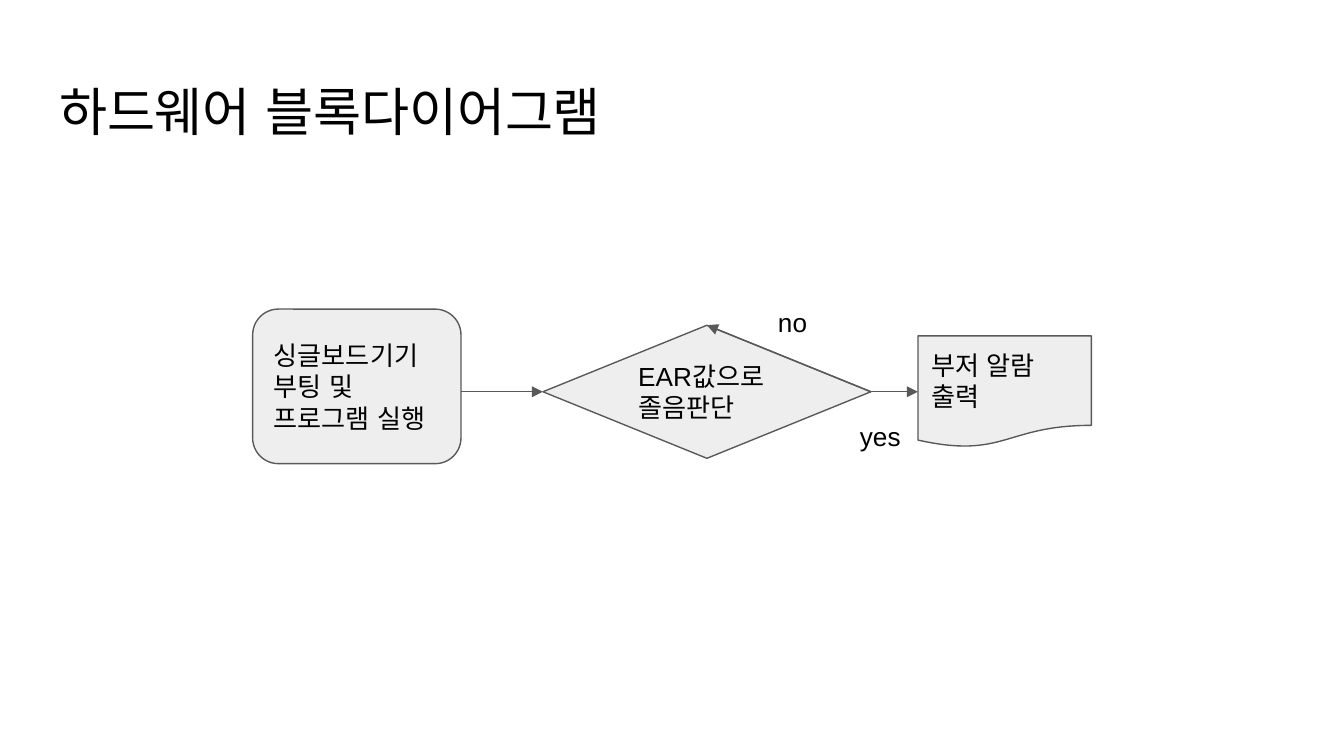
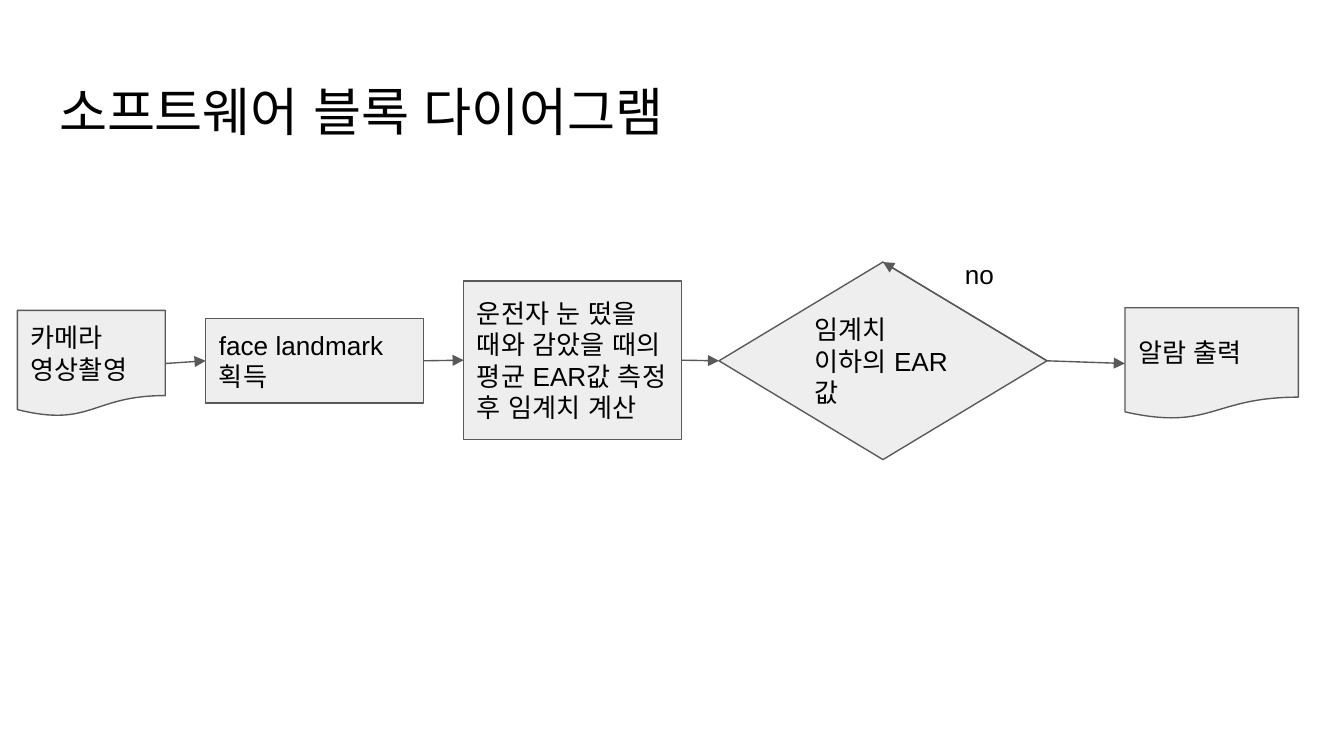
"""Build two slides of block diagrams for a drowsiness alarm."""
from dataclasses import dataclass

from lxml.etree import SubElement
from pptx import Presentation
from pptx.dml.color import RGBColor
from pptx.enum.shapes import MSO_CONNECTOR, MSO_SHAPE
from pptx.enum.text import MSO_ANCHOR, MSO_AUTO_SIZE, PP_ALIGN
from pptx.oxml.ns import qn
from pptx.shapes.autoshape import Shape
from pptx.slide import Slide
from pptx.text.text import TextFrame
from pptx.util import Inches, Pt

COLORS = {"fill": "EEEEEE", "line": "595959", "text": "000000"}
FONT = "Arial"
TOP, LEFT, RIGHT = 0, 1, 3
ROUND = MSO_SHAPE.ROUNDED_RECTANGLE
CHOICE = MSO_SHAPE.FLOWCHART_DECISION
PAPER = MSO_SHAPE.FLOWCHART_DOCUMENT
STEP = MSO_SHAPE.FLOWCHART_PROCESS


@dataclass(frozen=True)
class Block:
    """A flow chart block."""

    text: str
    kind: MSO_SHAPE
    x: float
    y: float
    w: float
    h: float


@dataclass(frozen=True)
class Label:
    """A word beside a branch."""

    text: str
    x: float
    y: float
    w: float
    h: float


@dataclass(frozen=True)
class Chart:
    """A titled row of blocks, each leading to the next."""

    title: str
    blocks: list[Block]
    labels: list[Label]


CHARTS = [
    Chart(
        "하드웨어 블록다이어그램",
        [
            Block("싱글보드기기 부팅 및 프로그램 실행", ROUND, 1.88, 2.3, 1.55, 1.15),
            Block("EAR값으로 졸음판단", CHOICE, 4.04, 2.42, 2.44, 0.99),
            Block("부저 알람 출력", PAPER, 6.83, 2.5, 1.29, 0.83),
        ],
        [Label("no", 5.69, 2.18, 0.61, 0.33), Label("yes", 6.3, 3.03, 0.77, 0.3)],
    ),
    Chart(
        "소프트웨어 블록 다이어그램",
        [
            Block("카메라 영상촬영", PAPER, 0.13, 2.31, 1.1, 0.79),
            Block("face landmark 획득", STEP, 1.53, 2.37, 1.62, 0.63),
            Block("운전자 눈 떴을 때와 감았을 때의 평균 EAR값 측정 후 임계치 계산",
                  STEP, 3.45, 2.09, 1.62, 1.18),
            Block("임계치 이하의 EAR값", CHOICE, 5.35, 1.95, 2.44, 1.47),
            Block("알람 출력", PAPER, 8.37, 2.29, 1.29, 0.83),
        ],
        [Label("no", 7.08, 1.82, 0.61, 0.33)],
    ),
]


def color(name: str) -> RGBColor:
    """Return a named colour."""
    return RGBColor.from_string(COLORS[name])


def write(frame: TextFrame, text: str, size: int, anchor: MSO_ANCHOR) -> None:
    """Fill a text frame with left-aligned text."""
    frame.text = text
    frame.word_wrap = True
    frame.auto_size = MSO_AUTO_SIZE.NONE
    frame.vertical_anchor = anchor
    frame.margin_left = frame.margin_right = Inches(0.1)
    frame.margin_top = frame.margin_bottom = Inches(0.1)
    for para in frame.paragraphs:
        para.alignment = PP_ALIGN.LEFT
        for run in para.runs:
            run.font.name = FONT
            run.font.size = Pt(size)
            run.font.color.rgb = color("text")
            for tag in ("a:ea", "a:cs"):
                SubElement(run.font._element, qn(tag), typeface=FONT)


def head(slide: Slide, text: str) -> None:
    """Place the slide title."""
    title = slide.shapes.title
    title.left, title.top = Inches(0.34), Inches(0.49)
    title.width, title.height = Inches(9.32), Inches(0.63)
    write(title.text_frame, text, 28, MSO_ANCHOR.TOP)


def draw(slide: Slide, block: Block) -> Shape:
    """Draw a block."""
    shape = slide.shapes.add_shape(
        block.kind, Inches(block.x), Inches(block.y), Inches(block.w), Inches(block.h))
    shape.shadow.inherit = False
    shape.fill.solid()
    shape.fill.fore_color.rgb = color("fill")
    shape.line.color.rgb = color("line")
    shape.line.width = Pt(0.75)
    write(shape.text_frame, block.text, 14, MSO_ANCHOR.MIDDLE)
    return shape


def link(slide: Slide, start: Shape, end: Shape, site: int = LEFT) -> None:
    """Draw an arrow from the right of one block to a site of another."""
    level = end.top + end.height // 2
    line = slide.shapes.add_connector(
        MSO_CONNECTOR.STRAIGHT, start.left + start.width, level, end.left, level)
    if start.auto_shape_type != ROUND:
        line.begin_connect(start, RIGHT)
    line.end_connect(end, site)
    line.line.color.rgb = color("line")
    line.line.width = Pt(0.75)
    props = line._element.spPr
    SubElement(props.find(qn("a:ln")), qn("a:tailEnd"), type="triangle")
    SubElement(props, qn("a:effectLst"))


def note(slide: Slide, label: Label) -> None:
    """Place a branch label."""
    box = slide.shapes.add_textbox(
        Inches(label.x), Inches(label.y), Inches(label.w), Inches(label.h))
    write(box.text_frame, label.text, 14, MSO_ANCHOR.TOP)


def build(deck: Presentation, chart: Chart) -> None:
    """Add a slide with one chart."""
    slide = deck.slides.add_slide(deck.slide_layouts[5])
    head(slide, chart.title)
    shapes = [draw(slide, block) for block in chart.blocks]
    for start, end in zip(shapes, shapes[1:]):
        link(slide, start, end)
    for shape in shapes:
        if shape.auto_shape_type == CHOICE:
            link(slide, shape, shape, TOP)
    for label in chart.labels:
        note(slide, label)


def main() -> None:
    """Build and save the deck."""
    deck = Presentation()
    deck.slide_width = Inches(10)
    deck.slide_height = deck.slide_width * 9 // 16
    for chart in CHARTS:
        build(deck, chart)
    deck.save("out.pptx")


main()
